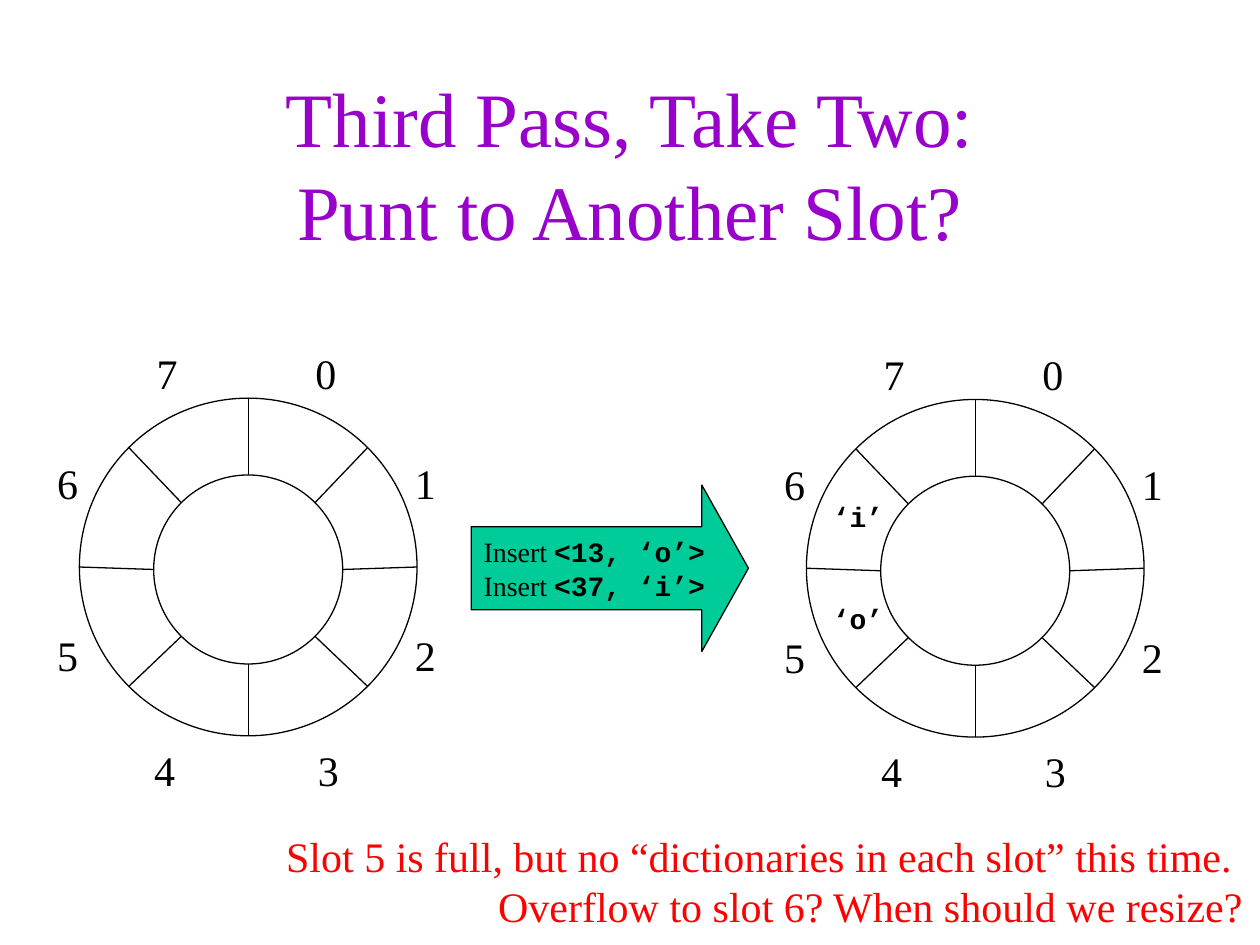
from math import cos, radians, sin

from lxml import etree
from pptx import Presentation
from pptx import util as u
from pptx.dml.color import RGBColor
from pptx.enum import shapes, text
from pptx.oxml.ns import qn

COLORS = {"title": "9900CC", "ink": "000000", "arrow": "00CC99", "note": "FF0000"}
SERIF, MONO = "Times New Roman", "Courier New"

TITLE = "Third Pass, Take Two:\vPunt to Another Slot?"
NOTE = ("Slot 5 is full, but no “dictionaries in each slot” this time. \v"
        "Overflow to slot 6? When should we resize?")
INSERTS = ["<13, ‘o’>", "<37, ‘i’>"]

# Slot label -> offset of its centre from the ring's centre
SLOTS = {"0": (0.62, -1.54), "1": (1.41, -0.67), "2": (1.41, 0.7), "3": (0.64, 1.61),
         "4": (-0.66, 1.61), "5": (-1.43, 0.7), "6": (-1.43, -0.67), "7": (-0.64, -1.54)}
# Stored value -> offset of its centre from the ring's centre
VALUES = {"‘o’": (-0.93, 0.4), "‘i’": (-0.93, -0.41)}

RING_CENTERS = [(1.97, 4.5), (7.74, 4.51)]
OUTER, INNER = 1.34, 0.75
HUB_DROP = 0.02


def rgb(name):
    return RGBColor.from_string(COLORS[name])


def style_font(font, size, color="ink", face=SERIF, bold=False):
    font.size, font.name, font.bold = u.Pt(size), face, bold
    font.color.rgb = rgb(color)


def outline(item):
    item.line.color.rgb = rgb("ink")
    item.line.width = u.Pt(0.75)


def add_text(parent, words, left, top, width, height, size, color="ink", face=SERIF,
             bold=False, align=text.PP_ALIGN.LEFT, wrap=False):
    box = parent.add_textbox(*map(u.Inches, (left, top, width, height)))
    box.text_frame.word_wrap = wrap
    para = box.text_frame.paragraphs[0]
    para.text, para.alignment = words, align
    style_font(para.font, size, color, face, bold)
    return box


def add_centered(parent, words, center, offset, width, height, size, **style):
    x, y = center[0] + offset[0], center[1] + offset[1]
    add_text(parent, words, x - width / 2, y - height / 2, width, height, size, **style)


def add_circle(parent, x, y, radius):
    circle = parent.add_shape(shapes.MSO_SHAPE.OVAL, u.Inches(x - radius), u.Inches(y - radius),
                              u.Inches(2 * radius), u.Inches(2 * radius))
    circle.fill.background()
    circle.shadow.inherit = False
    outline(circle)


def add_ring(page, center):
    """Draw two circles, the spokes between the slots and the slot numbers."""
    x, y = center
    ring = page.shapes.add_group_shape().shapes
    add_circle(ring, x, y + HUB_DROP, INNER)
    add_circle(ring, x, y, OUTER)
    for index in range(len(SLOTS)):
        angle = radians(360 / len(SLOTS) * index)
        dx, dy = sin(angle), -cos(angle)
        ends = (x + OUTER * dx, y + OUTER * dy,
                x + INNER * dx, y + HUB_DROP + INNER * dy)
        spoke = ring.add_connector(shapes.MSO_CONNECTOR.STRAIGHT, *map(u.Inches, ends))
        outline(spoke)
        etree.SubElement(spoke.element.spPr, qn("a:effectLst"))
    for number, offset in SLOTS.items():
        add_centered(ring, number, center, offset, 0.37, 0.5, 24)


def add_insert_arrow(page):
    arrow = page.shapes.add_shape(shapes.MSO_SHAPE.RIGHT_ARROW,
                                  *map(u.Inches, (3.74, 3.85, 2.2, 1.32)))
    arrow.adjustments[0], arrow.adjustments[1] = 0.5, 0.28
    arrow.shadow.inherit = False
    arrow.fill.solid()
    arrow.fill.fore_color.rgb = rgb("arrow")
    outline(arrow)
    arrow.text_frame.vertical_anchor = text.MSO_ANCHOR.MIDDLE
    para = arrow.text_frame.paragraphs[0]
    para.alignment = text.PP_ALIGN.LEFT
    for index, pair in enumerate(INSERTS):
        if index:
            para.add_line_break()
        for words, face in (("Insert ", SERIF), (pair, MONO)):
            span = para.add_run()
            span.text = words
            style_font(span.font, 16, face=face, bold=face == MONO)


def main():
    deck = Presentation()
    deck.slide_width, deck.slide_height = u.Inches(10), u.Inches(7.5)
    page = deck.slides.add_slide(deck.slide_layouts[6])

    title = add_text(page.shapes, TITLE, 0.75, 0.67, 8.5, 1.25, 44, "title",
                     align=text.PP_ALIGN.CENTER, wrap=True)
    title.text_frame.vertical_anchor = text.MSO_ANCHOR.MIDDLE
    for center in RING_CENTERS:
        add_ring(page, center)
    add_insert_arrow(page)
    for value, offset in VALUES.items():
        add_centered(page.shapes, value, RING_CENTERS[1], offset, 0.61, 0.37, 16,
                     face=MONO, bold=True, align=text.PP_ALIGN.CENTER)
    add_text(page.shapes, NOTE, 1.97, 6.54, 7.99, 0.91, 24, "note",
             align=text.PP_ALIGN.RIGHT, wrap=True)
    deck.save("out.pptx")


if __name__ == "__main__":
    main()
